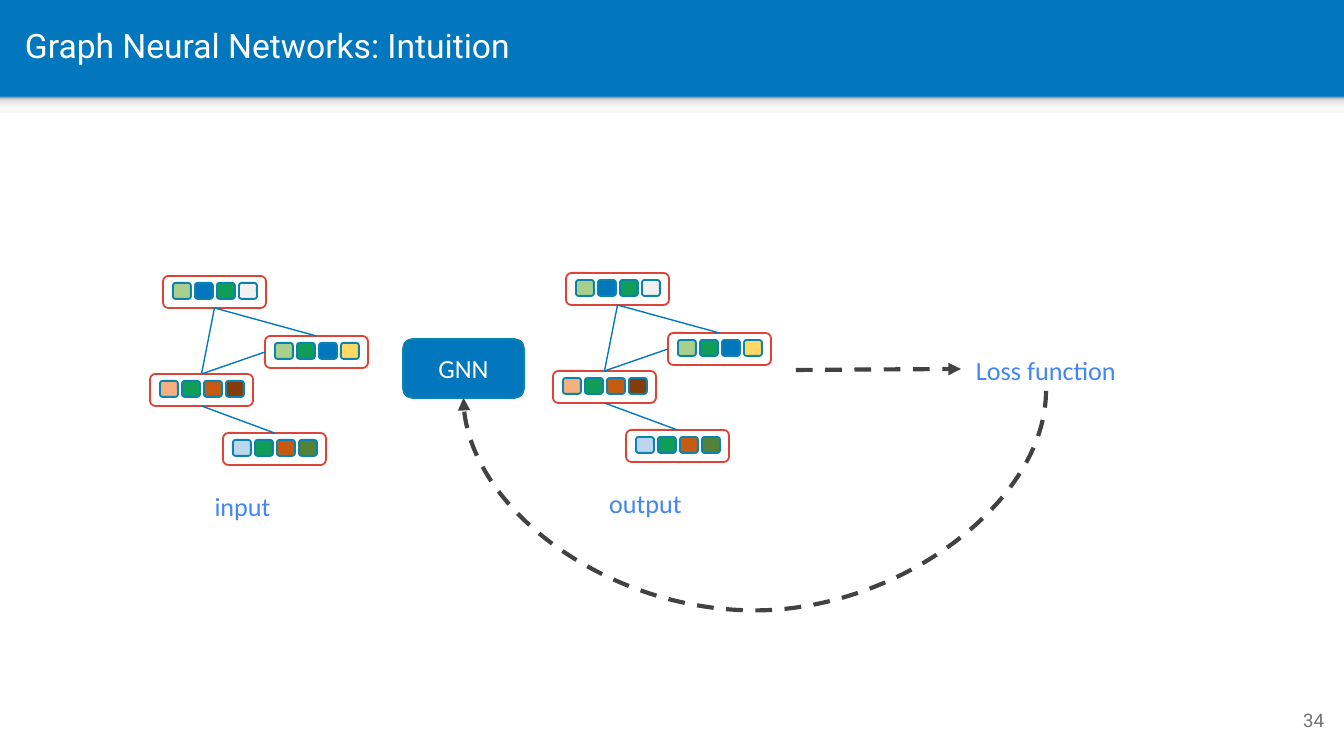
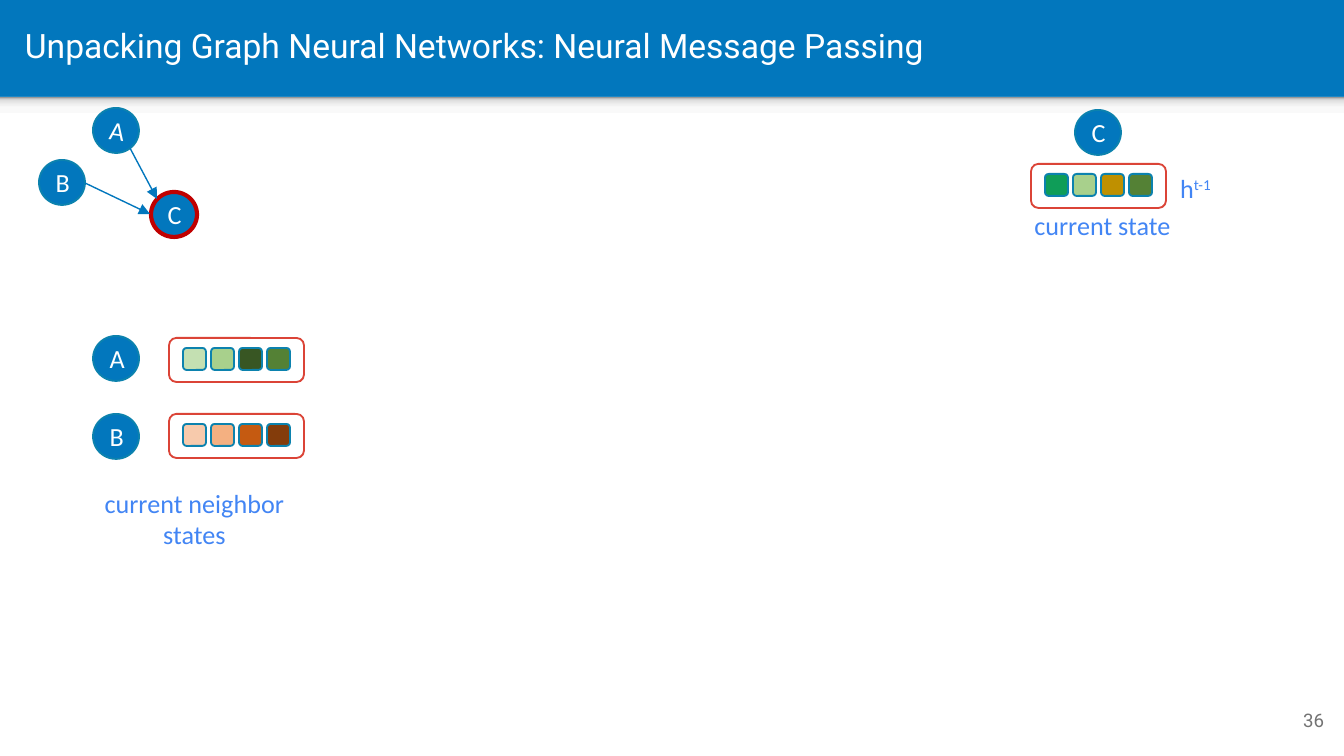
from dataclasses import dataclass

from lxml import etree
from pptx import Presentation
from pptx import util as u
from pptx.dml.color import RGBColor
from pptx.enum import dml, shapes, text
from pptx.oxml.ns import qn

EMU_PER_PX = u.Inches(10) / 1344
TOP, LEFT, BOTTOM = 0, 1, 2


@dataclass(frozen=True)
class Theme:
    """Colours, fonts and type sizes shared by the slides."""
    blue: str = "0277BD"
    outline: str = "0C82AE"
    card: str = "DB4437"
    focus: str = "C00000"
    label: str = "4285F4"
    flow: str = "424242"
    page: str = "737373"
    white: str = "FFFFFF"
    heading_font: str = "Roboto"
    body_font: str = "Calibri"
    title_size: int = 18
    body_size: int = 14
    page_size: int = 10


@dataclass(frozen=True)
class CardSize:
    """Pixel measures of a feature card and its row of chips."""
    width: int
    height: int
    chip_width: int
    chip_height: int
    inset_x: int
    inset_y: int
    pitch: int


THEME = Theme()
SMALL = CardSize(103, 32, 18, 16, 10, 7, 22)
LARGE = CardSize(135, 44, 23, 22, 14, 10, 28)
SHADOW_STOPS = ((0, "F9F9F9"), (36, "F9F9F9"), (80, "DEDEDE"), (100, "999999"))
GRAPH_CARDS = (
    (163, 276, ("A8D08C", "0277BD", "0F9D58", "F2F1F1")),
    (265, 336, ("A8D08C", "0F9D58", "0277BD", "FFD966")),
    (150, 374, ("F4B081", "0F9D58", "C55A11", "833C0B")),
    (223, 433, ("BBD6EE", "0F9D58", "C55A11", "548135")),
)
GRAPH_EDGES = ((0, BOTTOM, 2, TOP), (0, BOTTOM, 1, TOP), (2, TOP, 1, LEFT), (2, BOTTOM, 3, TOP))


def px(*lengths):
    """Turn pixel lengths into EMU."""
    return [u.Emu(round(length * EMU_PER_PX)) for length in lengths]


def rgb(colour):
    """Read a hex colour."""
    return RGBColor.from_string(colour)


def style_text(frame, colour, size, font, align, anchor):
    """Format a text frame and its paragraphs."""
    frame.word_wrap = True
    frame.vertical_anchor = anchor
    frame.margin_left, frame.margin_top, frame.margin_right, frame.margin_bottom = px(10, 5, 10, 5)
    for paragraph in frame.paragraphs:
        paragraph.alignment = align
        paragraph.font.name = font
        paragraph.font.size = u.Pt(size)
        paragraph.font.color.rgb = rgb(colour)


def add_block(parent, kind, box, fill=None, line=None, weight=1, caption=None):
    """Add a preset shape with an optional centred caption."""
    block = parent.add_shape(kind, *px(*box))
    block.shadow.inherit = False
    if fill:
        block.fill.solid()
        block.fill.fore_color.rgb = rgb(fill)
    else:
        block.fill.background()
    if line:
        block.line.color.rgb = rgb(line)
        block.line.width = u.Pt(weight)
    else:
        block.line.fill.background()
    if caption:
        block.text_frame.text = caption
        style_text(block.text_frame, THEME.white, THEME.body_size, THEME.body_font,
                   text.PP_ALIGN.CENTER, text.MSO_ANCHOR.MIDDLE)
    return block


def add_label(parent, box, wording, superscript=None):
    """Add a centred label, with an optional superscript."""
    label = parent.add_textbox(*px(*box))
    paragraph = label.text_frame.paragraphs[0]
    paragraph.add_run().text = wording
    if superscript:
        paragraph.add_run().text = superscript
        list(label.element.iter(qn("a:r")))[-1].get_or_add_rPr().set("baseline", "30000")
    style_text(label.text_frame, THEME.label, THEME.body_size, THEME.body_font,
               text.PP_ALIGN.CENTER, text.MSO_ANCHOR.TOP)
    label.text_frame.auto_size = text.MSO_AUTO_SIZE.SHAPE_TO_FIT_TEXT
    return label


def add_link(parent, ends=(0, 0, 0, 0), colour=THEME.blue, weight=0.75, dashed=False,
             arrow=False, kind=shapes.MSO_CONNECTOR.STRAIGHT):
    """Add a connector between two points."""
    link = parent.add_connector(kind, *px(*ends))
    link.line.color.rgb = rgb(colour)
    link.line.width = u.Pt(weight)
    if dashed:
        link.line.dash_style = dml.MSO_LINE.DASH
    properties = link.element.spPr
    if arrow:
        etree.SubElement(properties.find(qn("a:ln")), qn("a:tailEnd"), type="triangle")
    etree.SubElement(properties, qn("a:effectLst"))
    return link


def add_feedback(parent, source, target, depth):
    """Hang a dashed curve between the bottoms of two shapes."""
    curve = add_link(parent, colour=THEME.flow, weight=2.25, dashed=True, arrow=True,
                     kind=shapes.MSO_CONNECTOR.CURVE)
    curve.begin_connect(source, BOTTOM)
    curve.end_connect(target, BOTTOM)
    span, drop = curve.width, curve.height
    centre_x, centre_y = curve.left + span // 2, curve.top + drop // 2
    curve.left, curve.top = centre_x - drop // 2, centre_y - span // 2
    curve.width, curve.height = drop, span
    frame = curve.element.spPr.find(qn("a:xfrm"))
    frame.attrib.pop("flipH", None)
    frame.set("rot", str(90 * 60000))
    geometry = curve.element.spPr.find(qn("a:prstGeom"))
    guides = geometry.find(qn("a:avLst"))
    if guides is None:
        guides = etree.SubElement(geometry, qn("a:avLst"))
    bend = round(px(depth)[0] / drop * 100000)
    etree.SubElement(guides, qn("a:gd"), name="adj1", fmla=f"val {bend}")


def add_card(parent, left, top, chips, size):
    """Add a row of coloured chips inside a rounded outline."""
    rounded = shapes.MSO_SHAPE.ROUNDED_RECTANGLE
    for index, colour in enumerate(chips):
        chip_left = left + size.inset_x + index * size.pitch
        add_block(parent, rounded, (chip_left, top + size.inset_y, size.chip_width, size.chip_height),
                  colour, THEME.outline)
    return add_block(parent, rounded, (left, top, size.width, size.height), line=THEME.card)


def add_graph(slide, caption, shift_x=0, shift_y=0):
    """Add a grouped graph of feature cards with its caption."""
    graph = slide.shapes.add_group_shape().shapes
    cards = [add_card(graph, left + shift_x, top + shift_y, chips, SMALL)
             for left, top, chips in GRAPH_CARDS]
    for start, start_side, end, end_side in GRAPH_EDGES:
        edge = add_link(graph)
        edge.begin_connect(cards[start], start_side)
        edge.end_connect(cards[end], end_side)
    add_label(graph, (153 + shift_x, 485 + shift_y, 179, 42), caption)


def add_node(slide, left, top, name, line=THEME.outline, weight=1):
    """Add a round graph node."""
    return add_block(slide.shapes, shapes.MSO_SHAPE.OVAL, (left, top, 46, 45),
                     THEME.blue, line, weight, name)


def dress_layout(layout, slide):
    """Put the white page and the shadow under the title band on the layout."""
    layout.slide_master.background.fill.solid()
    layout.slide_master.background.fill.fore_color.rgb = rgb(THEME.blue)
    page = add_block(slide.shapes, shapes.MSO_SHAPE.RECTANGLE, (0, 97, 1344, 659), THEME.white)
    shadow = add_block(slide.shapes, shapes.MSO_SHAPE.RECTANGLE, (0, 97, 1344, 16), THEME.white)
    shadow.fill.gradient()
    shadow.fill.gradient_angle = 90
    stops = shadow.element.spPr.find(".//" + qn("a:gsLst"))
    for stop in list(stops):
        stops.remove(stop)
    for position, colour in SHADOW_STOPS:
        stop = etree.SubElement(stops, qn("a:gs"), pos=str(position * 1000))
        etree.SubElement(stop, qn("a:srgbClr"), val=colour)
    for index, part in enumerate((page, shadow)):
        layout.shapes.element.insert(2 + index, part.element)


def add_slide(deck, heading, number):
    """Add a slide with its title and page number."""
    slide = deck.slides.add_slide(deck.slide_layouts[5])
    title = slide.shapes.title
    title.left, title.top, title.width, title.height = px(15, 3, 1297, 89)
    title.text_frame.text = heading
    style_text(title.text_frame, THEME.white, THEME.title_size, THEME.heading_font,
               text.PP_ALIGN.LEFT, text.MSO_ANCHOR.MIDDLE)
    title.text_frame.paragraphs[0].line_spacing = 0.9
    page_number = slide.shapes.add_textbox(*px(1253, 691, 81, 58))
    page_number.text_frame.text = str(number)
    style_text(page_number.text_frame, THEME.page, THEME.page_size, THEME.heading_font,
               text.PP_ALIGN.RIGHT, text.MSO_ANCHOR.MIDDLE)
    return slide


def fill_intuition(slide):
    """Show the training loop from input graph to loss."""
    add_graph(slide, "input")
    gnn = add_block(slide.shapes, shapes.MSO_SHAPE.ROUNDED_RECTANGLE, (403, 339, 121, 59),
                    THEME.blue, THEME.outline, caption="GNN")
    add_graph(slide, "output", 403, -3)
    add_link(slide.shapes, (796, 370, 961, 369), THEME.flow, 2.25, dashed=True, arrow=True)
    loss = add_label(slide.shapes, (929, 349, 234, 42), "Loss function")
    add_feedback(slide.shapes, loss, gnn, 220)


def fill_message_passing(slide):
    """Show node C, its neighbours and their current states."""
    add_card(slide.shapes, 169, 338, ("C4E0B2", "A8D08C", "385623", "548135"), LARGE)
    add_card(slide.shapes, 169, 414, ("F7CAAC", "F4B081", "C55A11", "833C0B"), LARGE)
    add_node(slide, 93, 336, "A")
    add_node(slide, 93, 414, "B")
    add_label(slide.shapes, (1013, 204, 179, 42), "current state")
    add_node(slide, 93, 108, "A").rotation = 8.1
    add_node(slide, 39, 160, "B")
    add_node(slide, 151, 192, "C", THEME.focus, 2.25)
    for message in ((130, 148, 157, 199), (85, 183, 150, 214)):
        add_link(slide.shapes, message, arrow=True)
    add_label(slide.shapes, (63, 482, 263, 74), "current neighbor states")
    add_node(slide, 1075, 110, "C")
    add_card(slide.shapes, 1031, 164, ("0F9D58", "A8D08C", "BF9000", "548135"), LARGE)
    add_label(slide.shapes, (1150, 167, 91, 42), "h", "t-1")


def main():
    """Build and save the deck."""
    deck = Presentation()
    deck.slide_width, deck.slide_height = px(1344, 756)
    intuition = add_slide(deck, "Graph Neural Networks: Intuition", 34)
    dress_layout(deck.slide_layouts[5], intuition)
    fill_intuition(intuition)
    passing = add_slide(deck, "Unpacking Graph Neural Networks: Neural Message Passing", 36)
    fill_message_passing(passing)
    deck.save("out.pptx")


if __name__ == "__main__":
    main()
